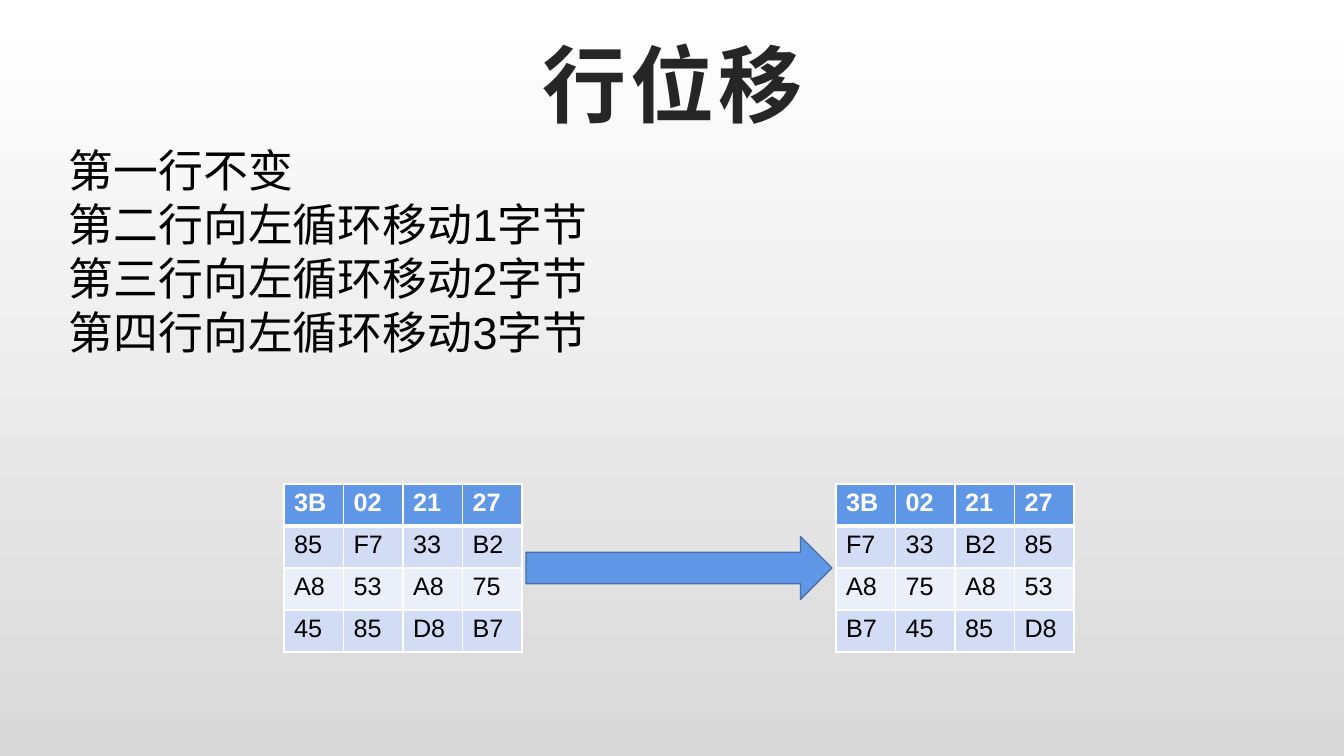
"""Build the slide that explains the row shift step on a 4 x 4 byte state."""
import lxml.etree
import pptx
import pptx.dml.color
import pptx.enum.lang
import pptx.enum.shapes
import pptx.enum.text
import pptx.oxml.ns
import pptx.util
from dataclasses import dataclass

TITLE = "行位移"
RULES = [
    "第一行不变",
    "第二行向左循环移动1字节",
    "第三行向左循环移动2字节",
    "第四行向左循环移动3字节",
]
STATE = [
    ["3B", "02", "21", "27"],
    ["85", "F7", "33", "B2"],
    ["A8", "53", "A8", "75"],
    ["45", "85", "D8", "B7"],
]

SLIDE_W, SLIDE_H = 1344, 756
TITLE_BOX = (132, 19, 1081, 119)
RULES_BOX = (59, 138, 612, 227)
TABLE_LEFTS = (284, 836)
TABLE_TOP, TABLE_W, ROW_H = 484, 238, 42
ARROW_GAP, ARROW_H = 4, 63


@dataclass(frozen=True)
class Theme:
    font: str = "Arial"
    title: str = "262626"
    text: str = "000000"
    white: str = "FFFFFF"
    shade: str = "D9D9D9"
    accent: str = "6096E6"
    outline: str = "476FAA"
    bands: tuple = ("EAEFFA", "D2DDF5")
    title_pt: int = 60
    rules_pt: int = 32
    cell_pt: int = 18
    spacing_pt: int = 3
    thin_pt: int = 1
    thick_pt: int = 3


THEME = Theme()


def px(n):
    return pptx.util.Emu(round(n * 12192000 / SLIDE_W))


def rgb(value):
    return pptx.dml.color.RGBColor.from_string(value)


def style(p, size, color, bold=False):
    for r in p.runs:
        r.font.name = THEME.font
        r.font.size = pptx.util.Pt(size)
        r.font.bold = bold
        r.font.color.rgb = rgb(color)
        r.font.language_id = pptx.enum.lang.MSO_LANGUAGE_ID.SIMPLIFIED_CHINESE


def add_text(s, box, text, size, color, bold=False):
    tf = s.shapes.add_textbox(*map(px, box)).text_frame
    tf.word_wrap = True
    tf.text = text
    for p in tf.paragraphs:
        style(p, size, color, bold)
    return tf


def add_border(cell, side, width):
    tag = pptx.oxml.ns.qn
    tcPr = cell._tc.get_or_add_tcPr()
    ln = lxml.etree.SubElement(tcPr, tag("a:" + side), w=str(pptx.util.Pt(width)))
    fill = lxml.etree.SubElement(ln, tag("a:solidFill"))
    lxml.etree.SubElement(fill, tag("a:srgbClr"), val=THEME.white)


def add_state(s, left, rows):
    n = len(rows)
    box = (left, TABLE_TOP, TABLE_W, ROW_H * n)
    table = s.shapes.add_table(n, n, *map(px, box)).table
    for i, row in enumerate(rows):
        table.columns[i].width = px(TABLE_W / n)
        table.rows[i].height = px(ROW_H)
        header = i == 0
        for j, value in enumerate(row):
            cell = table.cell(i, j)
            cell.text = value
            style(cell.text_frame.paragraphs[0], THEME.cell_pt,
                  THEME.white if header else THEME.text, header)
            add_border(cell, "lnL", THEME.thin_pt)
            add_border(cell, "lnR", THEME.thin_pt)
            add_border(cell, "lnT", THEME.thick_pt if i == 1 else THEME.thin_pt)
            add_border(cell, "lnB", THEME.thick_pt if header else THEME.thin_pt)
            cell.fill.solid()
            cell.fill.fore_color.rgb = rgb(THEME.accent if header else THEME.bands[i % 2])


def add_arrow(s):
    left = TABLE_LEFTS[0] + TABLE_W + ARROW_GAP
    width = TABLE_LEFTS[1] - ARROW_GAP - left
    top = TABLE_TOP + (ROW_H * len(STATE) - ARROW_H) / 2
    sp = s.shapes.add_shape(pptx.enum.shapes.MSO_SHAPE.RIGHT_ARROW,
                            *map(px, (left, top, width, ARROW_H)))
    sp.shadow.inherit = False
    sp.fill.solid()
    sp.fill.fore_color.rgb = rgb(THEME.accent)
    sp.line.color.rgb = rgb(THEME.outline)
    sp.line.width = pptx.util.Pt(THEME.thin_pt)


def main():
    prs = pptx.Presentation()
    prs.slide_width, prs.slide_height = px(SLIDE_W), px(SLIDE_H)
    s = prs.slides.add_slide(prs.slide_layouts[6])

    fill = s.background.fill
    fill.gradient()
    fill.gradient_angle = 270
    for stop, color in zip(fill.gradient_stops, (THEME.white, THEME.shade)):
        stop.color.rgb = rgb(color)

    tf = add_text(s, TITLE_BOX, TITLE, THEME.title_pt, THEME.title, True)
    tf.vertical_anchor = pptx.enum.text.MSO_ANCHOR.BOTTOM
    p = tf.paragraphs[0]
    p.alignment = pptx.enum.text.PP_ALIGN.CENTER
    p.runs[0].font._element.set("spc", str(THEME.spacing_pt * 100))

    add_text(s, RULES_BOX, "\n".join(RULES), THEME.rules_pt, THEME.text)

    shifted = [row[i:] + row[:i] for i, row in enumerate(STATE)]
    for left, rows in zip(TABLE_LEFTS, (STATE, shifted)):
        add_state(s, left, rows)
    add_arrow(s)
    prs.save("out.pptx")


if __name__ == "__main__":
    main()
